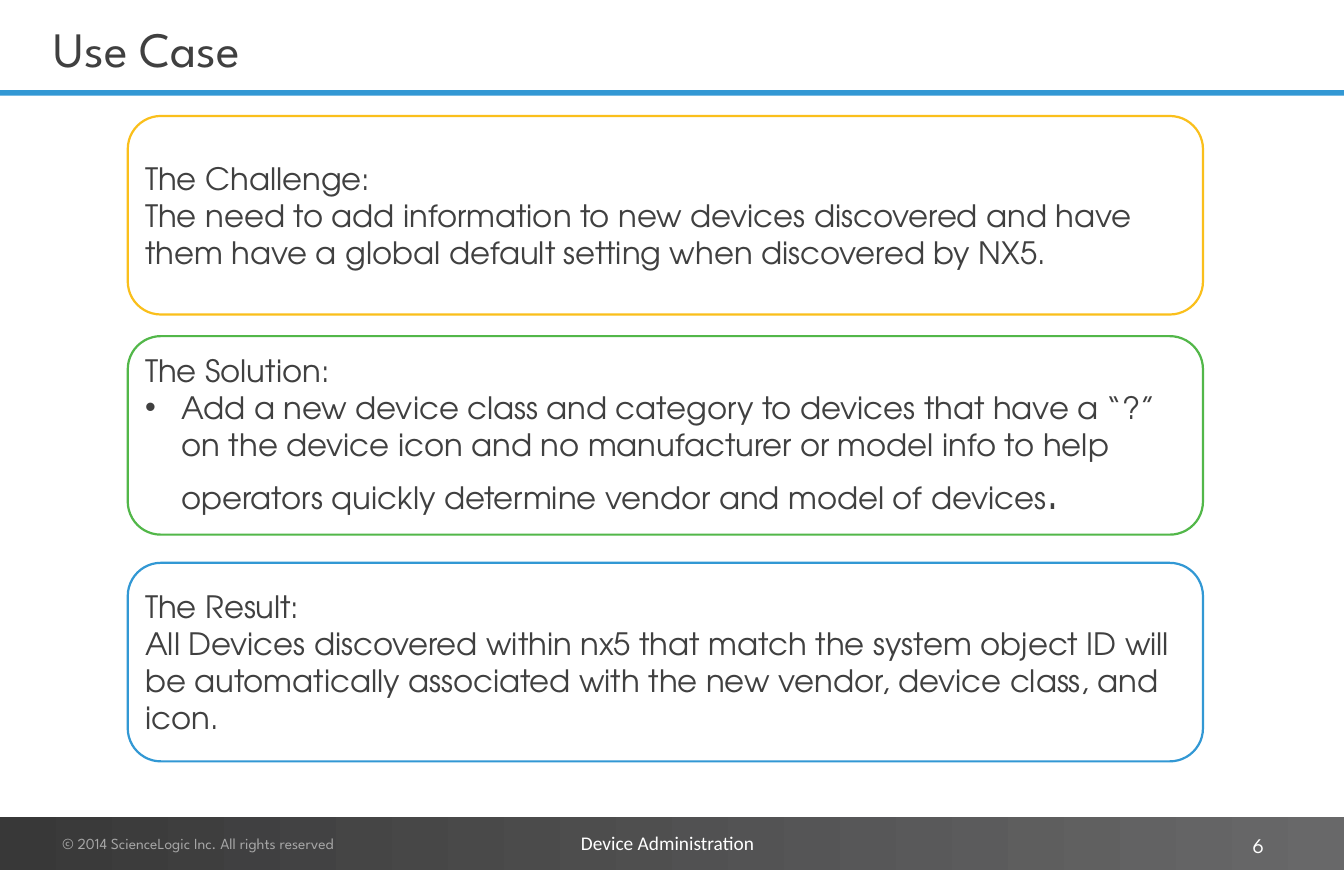
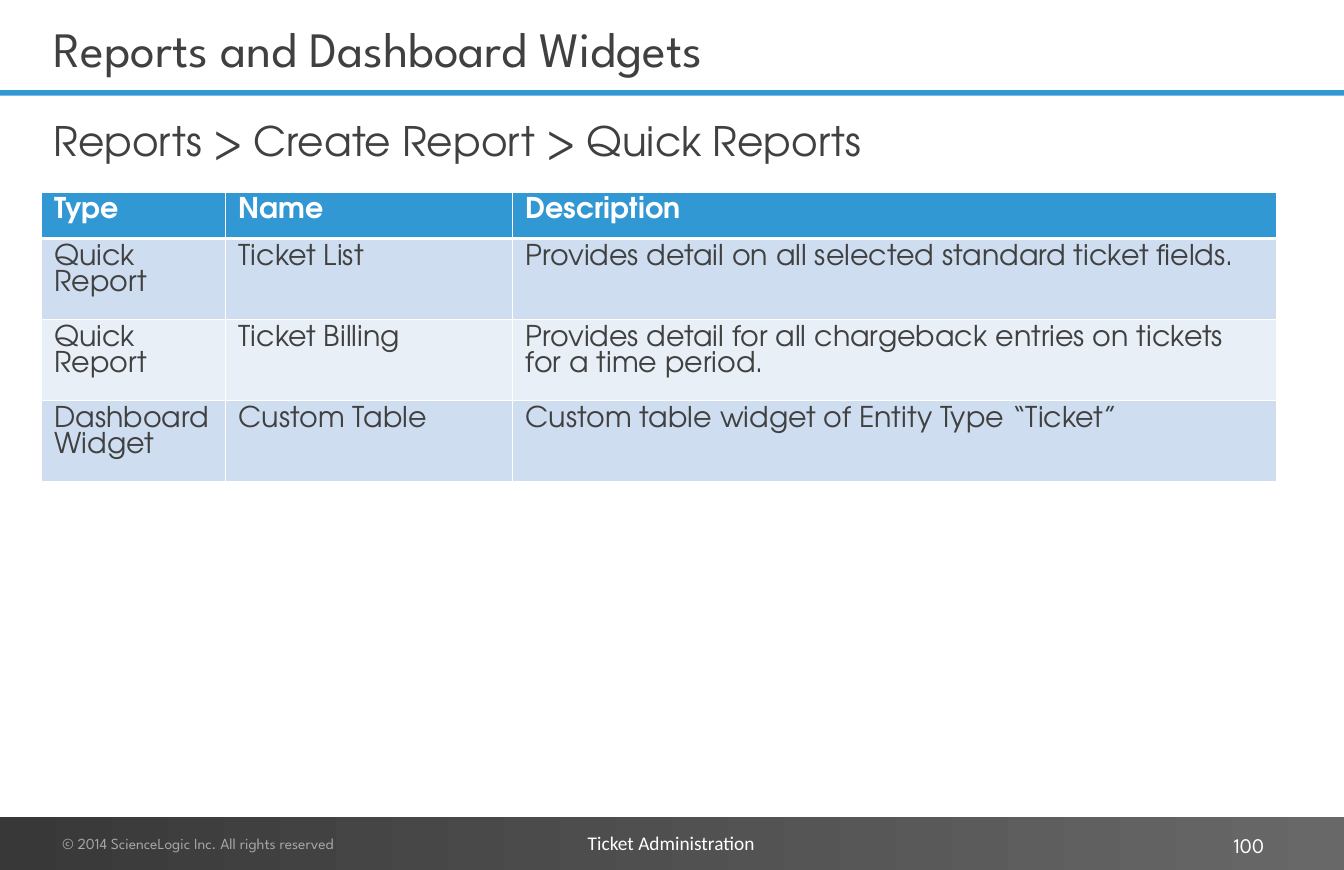
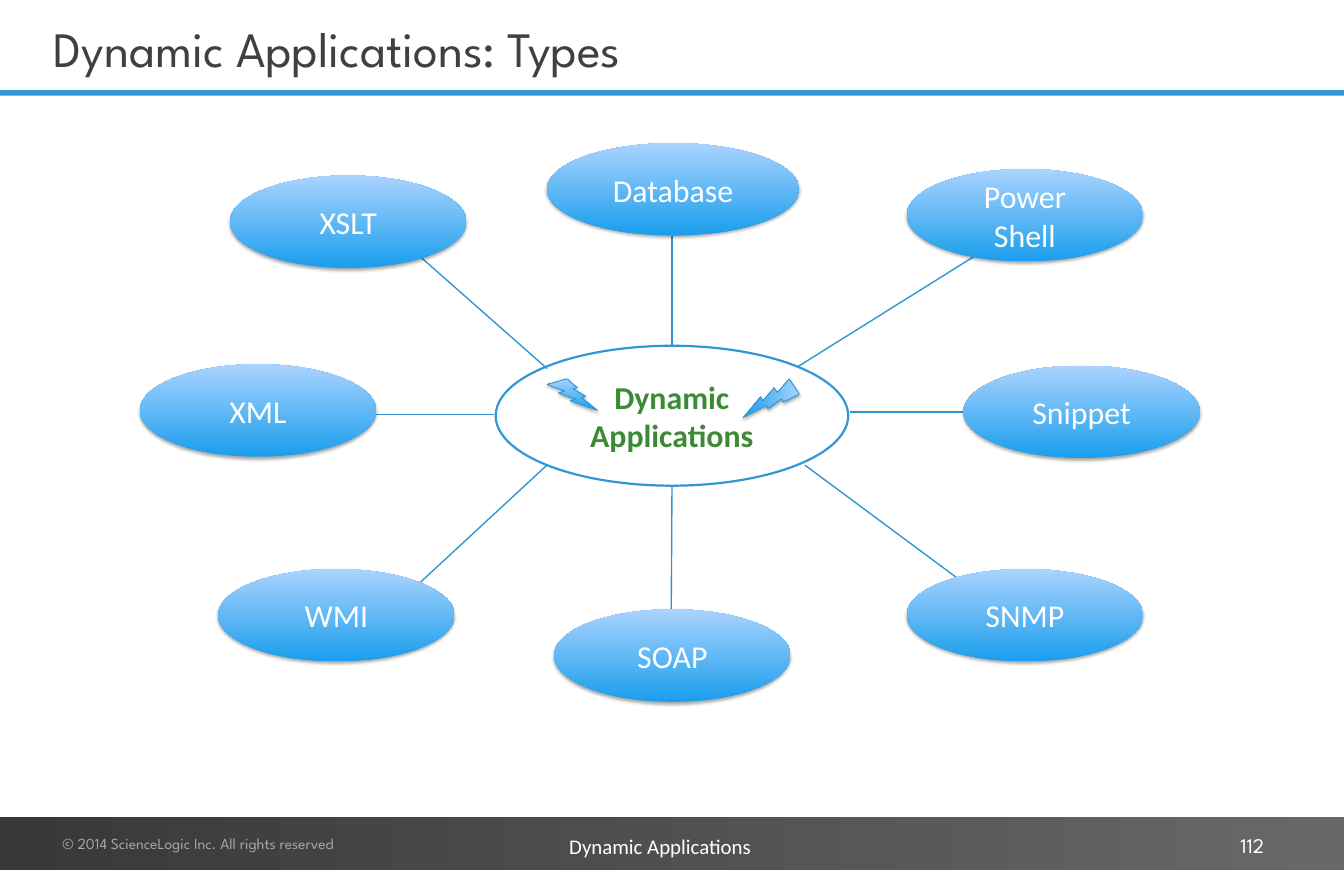
from dataclasses import dataclass
from typing import NamedTuple, Optional

from lxml import etree
from pptx import Presentation
from pptx import util as u
from pptx.dml.color import RGBColor
from pptx.enum import shapes, text
from pptx.oxml import ns


@dataclass(frozen=True)
class Theme:
    accent: str = "3298D4"
    link: str = "2D96D3"
    ink: str = "404040"
    white: str = "FFFFFF"
    muted: str = "A6A6A6"
    amber: str = "FABF1B"
    green: str = "52B749"
    hub_text: str = "3D8A36"
    row_dark: str = "CEDDEF"
    row_light: str = "E8EFF7"
    footer: tuple[str, str] = ("383838", "686869")
    glossy: tuple[str, str] = ("1A9EEC", "AAD3FF")
    heading_font: str = "League Spartan"
    body_font: str = "TeX Gyre Adventor"
    label_font: str = "Calibri"
    title_size: float = 45
    subtitle_size: float = 37
    card_size: float = 28
    stop_size: float = 42.5
    table_size: float = 26
    topic_size: float = 29
    number_size: float = 19
    section_size: float = 17.6
    copyright_size: float = 14


THEME = Theme()
SLIDE_W, SLIDE_H = 1224, 792
WIDE_INSETS = (11.5, 5.76)
PLAIN_INSETS = (7.2, 3.6)
CELL_INSETS = (12.2, 5)


class Box(NamedTuple):
    left: float
    top: float
    width: float
    height: float

    def points(self) -> list:
        return [u.Pt(length) for length in self]


class Style(NamedTuple):
    size: float
    font: str
    color: str
    bold: bool = False


class Run(NamedTuple):
    words: str
    style: Style


class Para(NamedTuple):
    runs: list[Run]
    bullet: bool = False


class Section(NamedTuple):
    name: str
    box: Box
    size: float = THEME.section_size
    insets: tuple[float, float] = PLAIN_INSETS


class Card(NamedTuple):
    top: float
    color: str
    paras: list[Para]


class Topic(NamedTuple):
    name: str
    left: float
    top: float
    start: tuple[float, float]
    end: tuple[float, float]
    width: float = 215.3


TITLE = Style(THEME.title_size, THEME.heading_font, THEME.ink)
SUBTITLE = Style(THEME.subtitle_size, THEME.body_font, THEME.ink)
COPYRIGHT = Style(THEME.copyright_size, THEME.heading_font, THEME.muted)
NUMBER = Style(THEME.number_size, THEME.heading_font, THEME.white)
CARD = Style(THEME.card_size, THEME.body_font, THEME.ink)
CARD_STOP = Style(THEME.stop_size, THEME.body_font, THEME.ink)
TABLE_HEAD = Style(THEME.table_size, THEME.body_font, THEME.white, True)
TABLE_BODY = Style(THEME.table_size, THEME.body_font, THEME.ink)
TOPIC = Style(THEME.topic_size, THEME.label_font, THEME.white)
HUB = Style(THEME.topic_size, THEME.label_font, THEME.hub_text, True)


def rgb(color: str) -> RGBColor:
    return RGBColor.from_string(color)


def add_child(parent, tag: str, **attributes):
    return etree.SubElement(parent, ns.qn(tag), attributes)


def one_line(words: str, style: Style) -> list[Para]:
    return [Para([Run(words, style)])]


def set_insets(holder, insets: tuple[float, float]) -> None:
    holder.margin_left = holder.margin_right = u.Pt(insets[0])
    holder.margin_top = holder.margin_bottom = u.Pt(insets[1])


def write(frame, paras: list[Para], align=text.PP_ALIGN.LEFT,
          spacing: Optional[float] = None) -> None:
    for position, para in enumerate(paras):
        line = frame.add_paragraph() if position else frame.paragraphs[0]
        line.alignment = align
        if spacing:
            line.line_spacing = spacing
        if para.bullet:
            props = line._p.get_or_add_pPr()
            props.set("marL", str(u.Pt(33.1)))
            props.set("indent", str(-u.Pt(33.1)))
            add_child(props, "a:buFont", typeface="Arial")
            add_child(props, "a:buChar", char="•")
        for words, style in para.runs:
            run = line.add_run()
            run.text = words
            run.font.size = u.Pt(style.size)
            run.font.name = style.font
            run.font.bold = style.bold
            run.font.color.rgb = rgb(style.color)


def add_text(slide, box: Box, paras: list[Para], insets=WIDE_INSETS,
             anchor=text.MSO_ANCHOR.TOP, align=text.PP_ALIGN.LEFT,
             spacing: Optional[float] = None, wrap: bool = True) -> None:
    frame = slide.shapes.add_textbox(*box.points()).text_frame
    frame.word_wrap = wrap
    if not wrap:
        frame.auto_size = text.MSO_AUTO_SIZE.SHAPE_TO_FIT_TEXT
    frame.vertical_anchor = anchor
    set_insets(frame, insets)
    write(frame, paras, align, spacing)


def add_figure(slide, kind, box: Box, fill: str | tuple[str, str],
               angle: float = 0, line: Optional[str] = None,
               weight: float = 2):
    figure = slide.shapes.add_shape(kind, *box.points())
    figure.shadow.inherit = False
    if isinstance(fill, str):
        figure.fill.solid()
        figure.fill.fore_color.rgb = rgb(fill)
    else:
        figure.fill.gradient()
        figure.fill.gradient_angle = angle
        for stop, color in zip(figure.fill.gradient_stops, fill):
            stop.color.rgb = rgb(color)
    if line:
        figure.line.color.rgb = rgb(line)
        figure.line.width = u.Pt(weight)
    else:
        figure.line.fill.background()
    return figure


def fill_figure(figure, paras: list[Para], insets=WIDE_INSETS,
                align=text.PP_ALIGN.CENTER) -> None:
    frame = figure.text_frame
    frame.word_wrap = True
    frame.vertical_anchor = text.MSO_ANCHOR.MIDDLE
    set_insets(frame, insets)
    write(frame, paras, align)


def add_glossy(slide, kind, box: Box, line: Optional[str] = None):
    figure = add_figure(slide, kind, box, THEME.glossy, 90, line, 0.75)
    effects = figure._element.spPr.find(ns.qn("a:effectLst"))
    shadow = add_child(effects, "a:outerShdw", blurRad=str(u.Pt(3.1)),
                       dist=str(u.Pt(1.8)), dir="5400000", rotWithShape="0")
    color = add_child(shadow, "a:srgbClr", val="000000")
    add_child(color, "a:alpha", val="35000")
    return figure


def add_link(slide, start: tuple[float, float], end: tuple[float, float]) -> None:
    link = slide.shapes.add_connector(
        shapes.MSO_CONNECTOR.STRAIGHT, *(u.Pt(length) for length in start + end))
    link.line.color.rgb = rgb(THEME.link)
    link.line.width = u.Pt(1.25)
    add_child(link._element.spPr, "a:effectLst")


def start_slide(deck, title: str, number: int, section: Section):
    slide = deck.slides.add_slide(deck.slide_layouts[6])
    rectangle = shapes.MSO_SHAPE.RECTANGLE
    add_figure(slide, rectangle, Box(0, 82.1, SLIDE_W, 5), THEME.accent)
    add_figure(slide, rectangle, Box(0, 743.8, SLIDE_W, 48.2), THEME.footer)
    add_text(slide, Box(45.2, 753.6, 360, 28.8),
             one_line("© 2014 ScienceLogic Inc. All rights reserved", COPYRIGHT))
    add_text(slide, Box(37.4, 1.2, 1069.2, 84.2), one_line(title, TITLE),
             anchor=text.MSO_ANCHOR.MIDDLE)
    add_text(slide, section.box,
             one_line(section.name,
                      Style(section.size, THEME.label_font, THEME.white)),
             section.insets, wrap=False)
    add_text(slide, Box(877, 753.6, 285.8, 31), one_line(str(number), NUMBER),
             anchor=text.MSO_ANCHOR.MIDDLE, align=text.PP_ALIGN.RIGHT)
    return slide


def card_paras(heading: str, body: str, stop: str = "") -> list[Para]:
    runs = [Run(body, CARD)]
    if stop:
        runs.append(Run(stop, CARD_STOP))
    return one_line(heading, CARD) + [Para(runs, bool(stop))]


CARDS = [
    Card(105.6, THEME.amber, card_paras(
        "The Challenge:",
        "The need to add information to new devices discovered and have them "
        "have a global default setting when discovered by NX5.")),
    Card(306, THEME.green, card_paras(
        "The Solution:",
        "Add a new device class and category to devices that have a “?” on the "
        "device icon and no manufacturer or model info to help operators "
        "quickly determine vendor and model of devices", ".")),
    Card(512.4, THEME.accent, card_paras(
        "The Result:",
        "All Devices discovered within nx5 that match the system object ID will "
        "be automatically associated with the new vendor, device class, and "
        "icon.")),
]

REPORT_ROWS = [
    ("Type", "Name", "Description"),
    ("Quick Report", "Ticket List",
     "Provides detail on all selected standard ticket fields."),
    ("Quick Report", "Ticket Billing",
     "Provides detail for all chargeback entries on tickets for a time period."),
    ("Dashboard Widget", "Custom Table",
     "Custom table widget of Entity Type “Ticket”"),
]
COLUMN_WIDTHS = (167.8, 261.4, 696.2)
HEAD_HEIGHT, ROW_HEIGHT = 42.2, 73.8

TOPICS = [
    Topic("Database", 498.2, 130.3, (612, 214.6), (612, 315), 229.7),
    Topic("XML", 127.4, 331.6, (342.7, 377.3), (450, 377.3)),
    Topic("XSLT", 209.5, 159.8, (382.3, 233.3), (498.2, 335.5)),
    Topic("WMI", 198.7, 518, (382.3, 530.6), (498.2, 423.4)),
    Topic("Snippet", 877.4, 332.8, (877.7, 375.1), (774, 375.1)),
    Topic("SOAP", 504.7, 554.7, (611.3, 555.1), (612, 442.1)),
    Topic("Power Shell", 825.8, 153.9, (897.8, 226.8), (727.2, 333.4)),
    Topic("SNMP", 825.8, 518, (874.8, 528.5), (733, 423.4)),
]


def add_use_case(deck) -> None:
    slide = start_slide(deck, "Use Case", 6, Section(
        "Device Administration", Box(522, 753.1, 173.5, 28.8)))
    for card in CARDS:
        panel = add_figure(slide, shapes.MSO_SHAPE.ROUNDED_RECTANGLE,
                           Box(116.4, card.top, 979.2, 180.7),
                           THEME.white, line=card.color)
        fill_figure(panel, card.paras, PLAIN_INSETS, text.PP_ALIGN.LEFT)


def set_borders(cell, row: int) -> None:
    weights = {"L": 1, "R": 1, "T": 3 if row == 1 else 1,
               "B": 3 if row == 0 else 1}
    props = cell._tc.get_or_add_tcPr()
    for position, (side, weight) in enumerate(weights.items()):
        border = etree.Element(ns.qn(f"a:ln{side}"), w=str(u.Pt(weight)))
        paint = add_child(border, "a:solidFill")
        add_child(paint, "a:srgbClr", val=THEME.white)
        props.insert(position, border)


def add_reports(deck) -> None:
    slide = start_slide(deck, "Reports and Dashboard Widgets", 100, Section(
        "Ticket Administration", Box(528.2, 753.1, 167.8, 28.8)))
    add_text(slide, Box(37.4, 104.4, 1125.4, 51.8),
             one_line("Reports > Create Report > Quick Reports", SUBTITLE),
             spacing=0.9)
    heights = [HEAD_HEIGHT] + [ROW_HEIGHT] * (len(REPORT_ROWS) - 1)
    box = Box(37.4, 175, sum(COLUMN_WIDTHS), sum(heights))
    reports = slide.shapes.add_table(
        len(REPORT_ROWS), len(COLUMN_WIDTHS), *box.points()).table
    for column, width in zip(reports.columns, COLUMN_WIDTHS):
        column.width = u.Pt(width)
    for row, (entries, height) in enumerate(zip(REPORT_ROWS, heights)):
        reports.rows[row].height = u.Pt(height)
        band = THEME.row_dark if row % 2 else THEME.row_light
        for column, words in enumerate(entries):
            cell = reports.cell(row, column)
            cell.fill.solid()
            cell.fill.fore_color.rgb = rgb(band if row else THEME.accent)
            set_borders(cell, row)
            set_insets(cell, CELL_INSETS)
            write(cell.text_frame,
                  one_line(words, TABLE_BODY if row else TABLE_HEAD))


def add_application_types(deck) -> None:
    slide = start_slide(deck, "Dynamic Applications: Types", 112, Section(
        "Dynamic Applications", Box(506.9, 752.8, 190.8, 34.6),
        THEME.number_size, WIDE_INSETS))
    oval = shapes.MSO_SHAPE.OVAL
    hub = add_figure(slide, oval, Box(451.4, 314.8, 321.1, 127.4),
                     THEME.white, line=THEME.accent)
    fill_figure(hub, one_line("Dynamic Applications", HUB))
    for topic in TOPICS:
        add_link(slide, topic.start, topic.end)
        bubble = add_glossy(slide, oval,
                            Box(topic.left, topic.top, topic.width, 84.2))
        fill_figure(bubble, one_line(topic.name, TOPIC))
    for box, turn in ((Box(498.2, 344.9, 46.1, 28.8), 0),
                      (Box(684.7, 337, 35.3, 51.1), 90)):
        bolt = add_glossy(slide, shapes.MSO_SHAPE.LIGHTNING_BOLT, box, THEME.link)
        bolt.rotation = turn


def main() -> None:
    deck = Presentation()
    deck.slide_width, deck.slide_height = u.Pt(SLIDE_W), u.Pt(SLIDE_H)
    add_use_case(deck)
    add_reports(deck)
    add_application_types(deck)
    deck.save("out.pptx")


if __name__ == "__main__":
    main()
